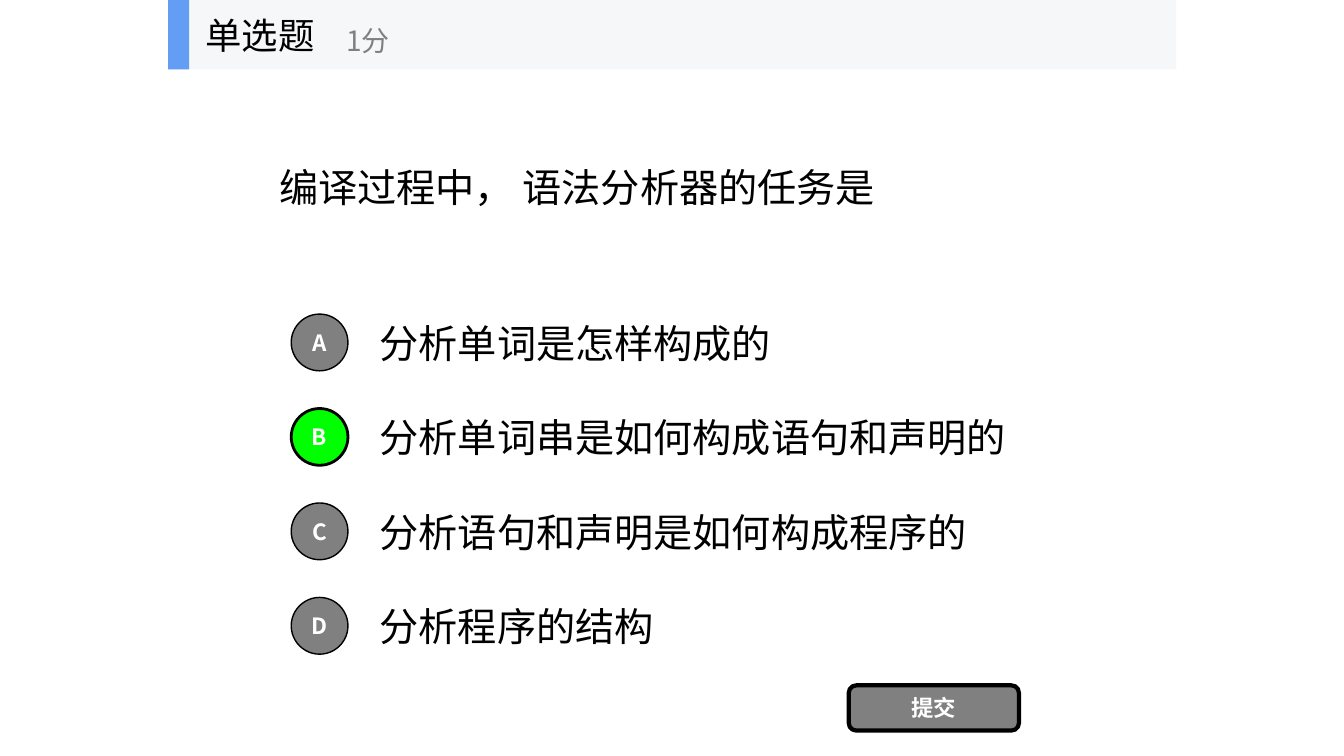
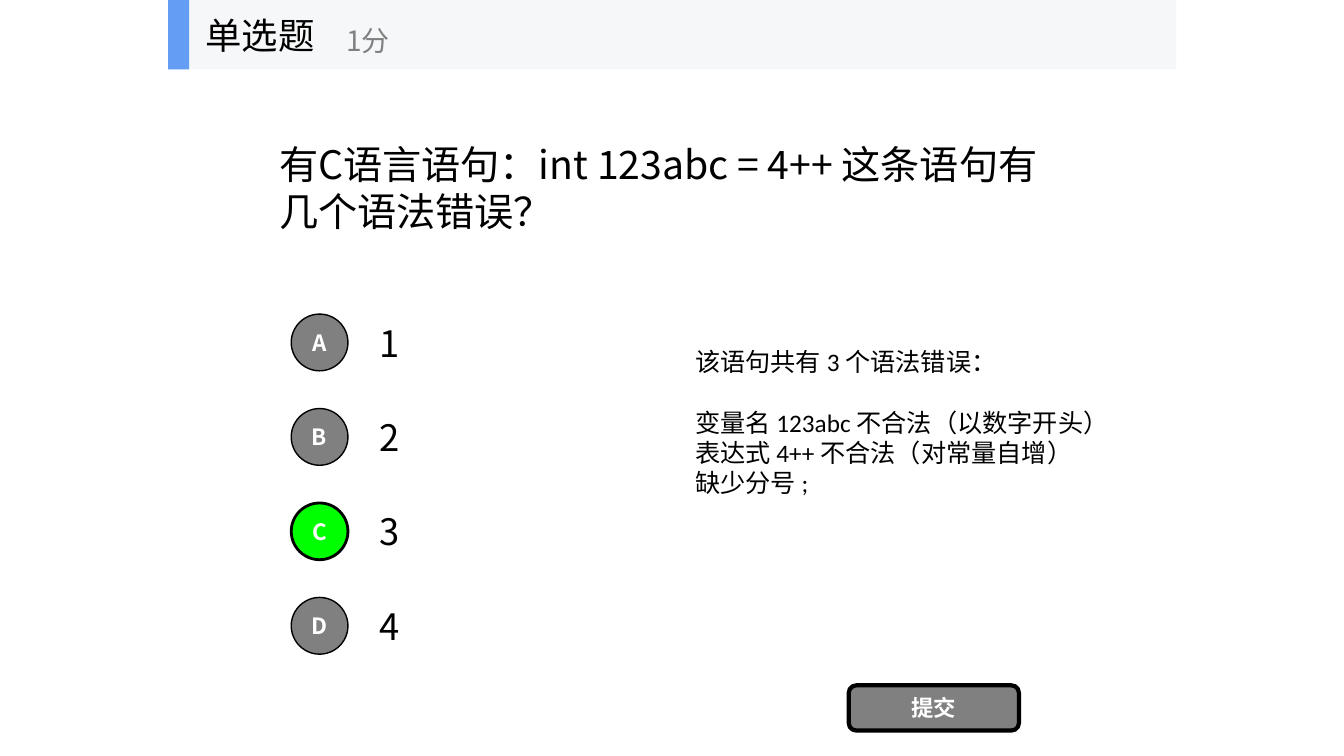
import pptx
import pptx.util
import pptx.dml.color
import pptx.enum.shapes
import pptx.enum.text
from lxml import etree
from pptx.oxml.ns import qn

Cm = pptx.util.Cm
Pt = pptx.util.Pt
SHAPE = pptx.enum.shapes.MSO_SHAPE
ALIGN = pptx.enum.text.PP_ALIGN
ANCHOR = pptx.enum.text.MSO_ANCHOR

BLACK, WHITE, GREY, GREEN = "000000", "FFFFFF", "808080", "00FF00"
BAND, ACCENT = "F6F7F8", "639EF4"
CJK_FONT = "Noto Sans CJK SC"

ROW_TOP, ROW_PITCH, ROW_HEIGHT = 7.74, 2.38, 1.78
CIRCLE = 1.43

QUESTIONS = [
    {"title": "编译过程中， 语法分析器的任务是",
     "options": ["分析单词是怎样构成的", "分析单词串是如何构成语句和声明的",
                 "分析语句和声明是如何构成程序的", "分析程序的结构"],
     "answer": "B", "size": 28, "notes": []},
    {"title": "有C语言语句：int 123abc = 4++ 这条语句有几个语法错误？",
     "options": ["1", "2", "3", "4"],
     "answer": "C", "size": 26,
     "notes": ["该语句共有 3 个语法错误：", "变量名 123abc 不合法（以数字开头）",
               "表达式 4++ 不合法（对常量自增）", "缺少分号 ;"]},
]


def write(shape, lines, size, color=BLACK, name=CJK_FONT, align=ALIGN.LEFT,
          anchor=ANCHOR.MIDDLE, bold=False, wrap=True):
    """Fill a shape with one paragraph per line, all in one format."""
    frame = shape.text_frame
    frame.text = "\n".join(lines)
    for key, value in {"word_wrap": wrap, "vertical_anchor": anchor,
                       "auto_size": pptx.enum.text.MSO_AUTO_SIZE.NONE}.items():
        setattr(frame, key, value)
    for paragraph in frame.paragraphs:
        paragraph.alignment = align
        paragraph.line_spacing = 1.0
        for run in paragraph.runs:
            for key, value in {"size": Pt(size), "name": name, "bold": bold}.items():
                setattr(run.font, key, value)
            run.font.color.rgb = pptx.dml.color.RGBColor.from_string(color)
            east_asian = etree.SubElement(run.font._element if hasattr(run.font, "_element")
                                          else run._r.get_or_add_rPr(), qn("a:ea"))
            east_asian.set("typeface", name)


def add_block(shapes, kind, box, fill, line_width=0):
    """Add a flat preset shape; box is left, top, width, height in cm."""
    shape = shapes.add_shape(kind, *map(Cm, box))
    shape.shadow.inherit = False
    shape.fill.solid()
    shape.fill.fore_color.rgb = pptx.dml.color.RGBColor.from_string(fill)
    if line_width:
        shape.line.color.rgb = pptx.dml.color.RGBColor.from_string(BLACK)
        shape.line.width = Pt(line_width)
    else:
        shape.line.fill.background()
    return shape


presentation = pptx.Presentation()
presentation.slide_width = Cm(33.87)
presentation.slide_height = Cm(19.05)
title_only = presentation.slide_layouts[5]

for question in QUESTIONS:
    slide = presentation.slides.add_slide(title_only)
    title = slide.shapes.title
    for key, value in {"left": 6.78, "top": 1.75, "width": 20.32, "height": 5.94}.items():
        setattr(title, key, Cm(value))
    write(title, [question["title"]], 28)

    for index, (letter, option) in enumerate(zip("ABCD", question["options"])):
        top = ROW_TOP + index * ROW_PITCH
        option_box = slide.shapes.add_textbox(Cm(9.32), Cm(top), Cm(17.78), Cm(ROW_HEIGHT))
        write(option_box, [option], question["size"])
        correct = letter == question["answer"]
        circle = add_block(slide.shapes, SHAPE.OVAL,
                           (7.34, top + (ROW_HEIGHT - CIRCLE) / 2, CIRCLE, CIRCLE),
                           GREEN if correct else GREY, 2 if correct else 1)
        write(circle, [letter], 16, WHITE, align=ALIGN.CENTER, bold=True, wrap=False)

    submit = add_block(slide.shapes, SHAPE.ROUNDED_RECTANGLE, (21.39, 17.27, 4.29, 1.14), GREY, 3)
    write(submit, ["提交"], 16, WHITE, align=ALIGN.CENTER, bold=True)

    header = slide.shapes.add_group_shape()
    add_block(header.shapes, SHAPE.RECTANGLE, (4.24, 0, 25.4, 1.75), BAND)
    add_block(header.shapes, SHAPE.RECTANGLE, (4.24, 0, 0.53, 1.75), ACCENT)
    for text, box, size, color in [("单选题", (4.93, 0, 5.28, 1.75), 26, BLACK),
                                   ("1分", (8.48, 0.3, 6.35, 1.42), 20, GREY)]:
        label = header.shapes.add_textbox(*map(Cm, box))
        write(label, [text], size, color, wrap=False)

    if question["notes"]:
        notes = slide.shapes.add_textbox(Cm(17.27), Cm(8.59), Cm(11.28), Cm(4.09))
        write(notes, question["notes"], 18, name="Calibri", anchor=ANCHOR.TOP)
        notes.text_frame.paragraphs[1].space_before = Pt(22)

presentation.save("out.pptx")
